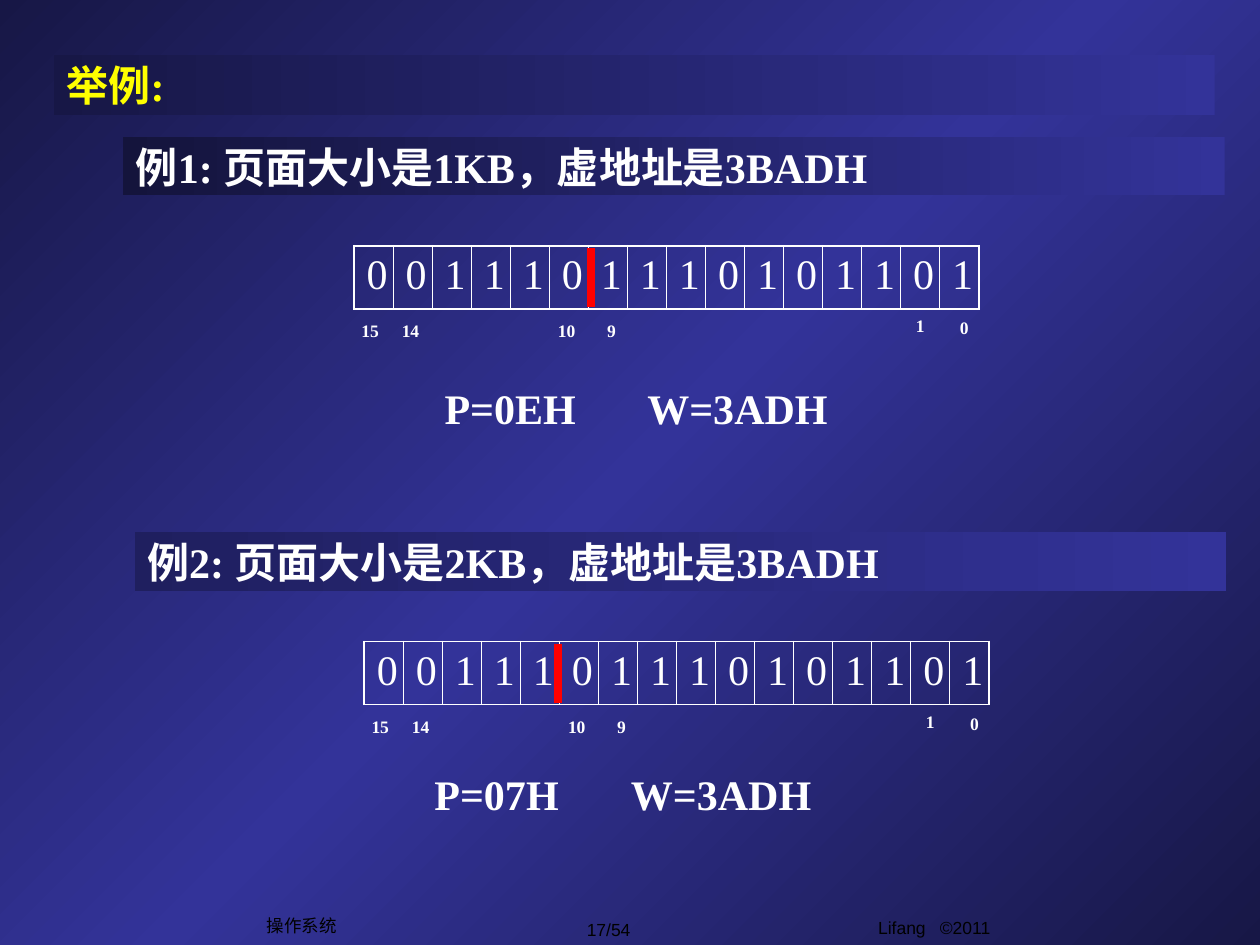
from copy import deepcopy
from dataclasses import dataclass

from lxml.etree import SubElement
from pptx import Presentation
from pptx.dml.color import RGBColor
from pptx.dml.fill import FillFormat
from pptx.enum.shapes import MSO_CONNECTOR, MSO_SHAPE
from pptx.enum.text import MSO_ANCHOR, PP_ALIGN
from pptx.oxml import parse_xml
from pptx.oxml.ns import nsdecls, qn
from pptx.slide import Slide
from pptx.text.text import TextFrame
from pptx.util import Inches, Pt

WHITE = RGBColor(0xFF, 0xFF, 0xFF)
BLACK = RGBColor(0x00, 0x00, 0x00)
YELLOW = RGBColor(0xFF, 0xFF, 0x00)
RED = RGBColor(0xFF, 0x00, 0x00)
BLUE = RGBColor(0x33, 0x33, 0x99)
NAVY = RGBColor(0x17, 0x17, 0x46)
DEEP_NAVY = RGBColor(0x14, 0x14, 0x3C)
SOFT_NAVY = RGBColor(0x1F, 0x1F, 0x5F)

SERIF = "Times New Roman"
SANS = "Arial"
BITS = "0011101110101101"
CELL_WIDTH = 0.31
ROW_HEIGHT = 0.5
THIN, THICK = 0.45, 1.08


@dataclass(frozen=True)
class Box:
    left: float
    top: float
    width: float
    height: float

    def lengths(self) -> list[Inches]:
        return [Inches(value) for value in (self.left, self.top, self.width, self.height)]


@dataclass(frozen=True)
class BitLabel:
    """A bit number, placed relative to the register's top left corner."""
    text: str
    across: float
    down: float


@dataclass(frozen=True)
class Example:
    heading: str
    heading_box: Box
    heading_dark: RGBColor
    register_left: float
    register_top: float
    divider: float
    result: str
    result_box: Box
    result_tab: float


BIT_LABELS = [
    BitLabel("15", -0.04, 0.54),
    BitLabel("14", 0.28, 0.54),
    BitLabel("10", 1.52, 0.54),
    BitLabel("9", 1.91, 0.54),
    BitLabel("1", 4.36, 0.5),
    BitLabel("0", 4.71, 0.52),
]

EXAMPLES = [
    Example("例1: 页面大小是1KB，虚地址是3BADH", Box(0.98, 1.09, 8.74, 0.46), DEEP_NAVY,
            2.81, 1.95, 4.69, "P=0EH\tW=3ADH", Box(3.43, 2.88, 3.86, 0.71), 1.61),
    Example("例2: 页面大小是2KB，虚地址是3BADH", Box(1.07, 4.22, 8.66, 0.47), SOFT_NAVY,
            2.89, 5.09, 4.43, "P=07H\tW=3ADH", Box(3.35, 5.94, 3.86, 0.71), 1.56),
]


def write(frame: TextFrame, text: str, size: float, color: RGBColor, bold: bool = True,
          name: str = SERIF, align: PP_ALIGN = PP_ALIGN.LEFT, tab: float | None = None) -> None:
    para = frame.paragraphs[0]
    para.text = text
    para.alignment = align
    if tab is not None:
        tabs = SubElement(para._p.get_or_add_pPr(), qn("a:tabLst"))
        SubElement(tabs, qn("a:tab"), pos=str(Inches(tab)), algn="l")
    para.font.size = Pt(size)
    para.font.name = name
    para.font.bold = bold
    para.font.color.rgb = color


def add_text(slide: Slide, box: Box, anchor: MSO_ANCHOR = MSO_ANCHOR.TOP,
             wrap: bool = True) -> TextFrame:
    frame = slide.shapes.add_textbox(*box.lengths()).text_frame
    frame.word_wrap = wrap
    frame.vertical_anchor = anchor
    return frame


def fill_gradient(fill: FillFormat, start: RGBColor, end: RGBColor, angle: float) -> None:
    fill.gradient()
    fill.gradient_angle = angle
    for stop, color, position in zip(fill.gradient_stops, (start, end), (0, 1)):
        stop.color.rgb = color
        stop.position = position


def paint_background(slide: Slide) -> None:
    """Dark at two opposite corners, blue along the diagonal between them."""
    fill_gradient(slide.background.fill, NAVY, BLUE, 135)
    stops = slide.element.find(".//" + qn("a:gsLst"))
    stops[1].set("pos", "50000")
    last = deepcopy(stops[0])
    last.set("pos", "100000")
    stops.append(last)


def add_banner(slide: Slide, box: Box, text: str, dark: RGBColor, color: RGBColor) -> None:
    banner = slide.shapes.add_shape(MSO_SHAPE.RECTANGLE, *box.lengths())
    banner.shadow.inherit = False
    banner.line.fill.background()
    fill_gradient(banner.fill, BLUE, dark, 180)
    banner.text_frame.word_wrap = True
    banner.text_frame.vertical_anchor = MSO_ANCHOR.MIDDLE
    write(banner.text_frame, text, 24, color)


def add_register(slide: Slide, left: float, top: float) -> None:
    """A one-row table of bits with a thick outline and thin inner rules."""
    box = Box(left, top, CELL_WIDTH * len(BITS), ROW_HEIGHT)
    table = slide.shapes.add_table(1, len(BITS), *box.lengths()).table
    table.first_row = False
    table.horz_banding = False
    table.rows[0].height = Inches(ROW_HEIGHT)
    last = len(BITS) - 1
    for index, bit in enumerate(BITS):
        table.columns[index].width = Inches(CELL_WIDTH)
        cell = table.cell(0, index)
        cell.fill.background()
        write(cell.text_frame, bit, 24, WHITE, bold=False)
        borders = {
            "lnL": THICK if index == 0 else THIN,
            "lnR": THICK if index == last else THIN,
            "lnT": THICK,
            "lnB": THICK,
        }
        properties = cell._tc.get_or_add_tcPr()
        for order, (side, width) in enumerate(borders.items()):
            properties.insert(order, parse_xml(
                f'<a:{side} {nsdecls("a")} w="{Pt(width)}"><a:solidFill>'
                f'<a:srgbClr val="{WHITE}"/></a:solidFill></a:{side}>'))


def add_divider(slide: Slide, across: float, top: float) -> None:
    line = slide.shapes.add_connector(
        MSO_CONNECTOR.STRAIGHT, Inches(across), Inches(top + 0.49),
        Inches(across), Inches(top + 0.02))
    line.line.color.rgb = RED
    line.line.width = Pt(4.5)
    SubElement(line._element.spPr, qn("a:effectLst"))


def add_example(slide: Slide, example: Example) -> None:
    left, top = example.register_left, example.register_top
    add_banner(slide, example.heading_box, example.heading, example.heading_dark, WHITE)
    add_register(slide, left, top)
    add_divider(slide, example.divider, top)
    for label in BIT_LABELS:
        frame = add_text(slide, Box(left + label.across, top + label.down, 0.55, 0.27))
        write(frame, label.text, 10, WHITE)
    result = add_text(slide, example.result_box, MSO_ANCHOR.MIDDLE)
    write(result, example.result, 24, WHITE, tab=example.result_tab)


def add_footer(slide: Slide) -> None:
    author = add_text(slide, Box(5.84, 7.23, 3.17, 0.35))
    author.margin_left = Inches(1.13)
    write(author, "Lifang\t©2011", 10, BLACK, False, SANS, tab=0.49)
    for box, text in ((Box(4.32, 7.24, 1.02, 0.27), "17/54"),
                      (Box(2.02, 7.21, 0.75, 0.27), "操作系统")):
        frame = add_text(slide, box, MSO_ANCHOR.MIDDLE, wrap=False)
        write(frame, text, 10, BLACK, False, SANS, PP_ALIGN.CENTER)


def main() -> None:
    deck = Presentation()
    deck.slide_width, deck.slide_height = Inches(10), Inches(7.5)
    slide = deck.slides.add_slide(deck.slide_layouts[6])
    paint_background(slide)
    add_footer(slide)
    add_banner(slide, Box(0.43, 0.44, 9.21, 0.47), "举例:", NAVY, YELLOW)
    for example in EXAMPLES:
        add_example(slide, example)
    deck.save("out.pptx")


if __name__ == "__main__":
    main()
